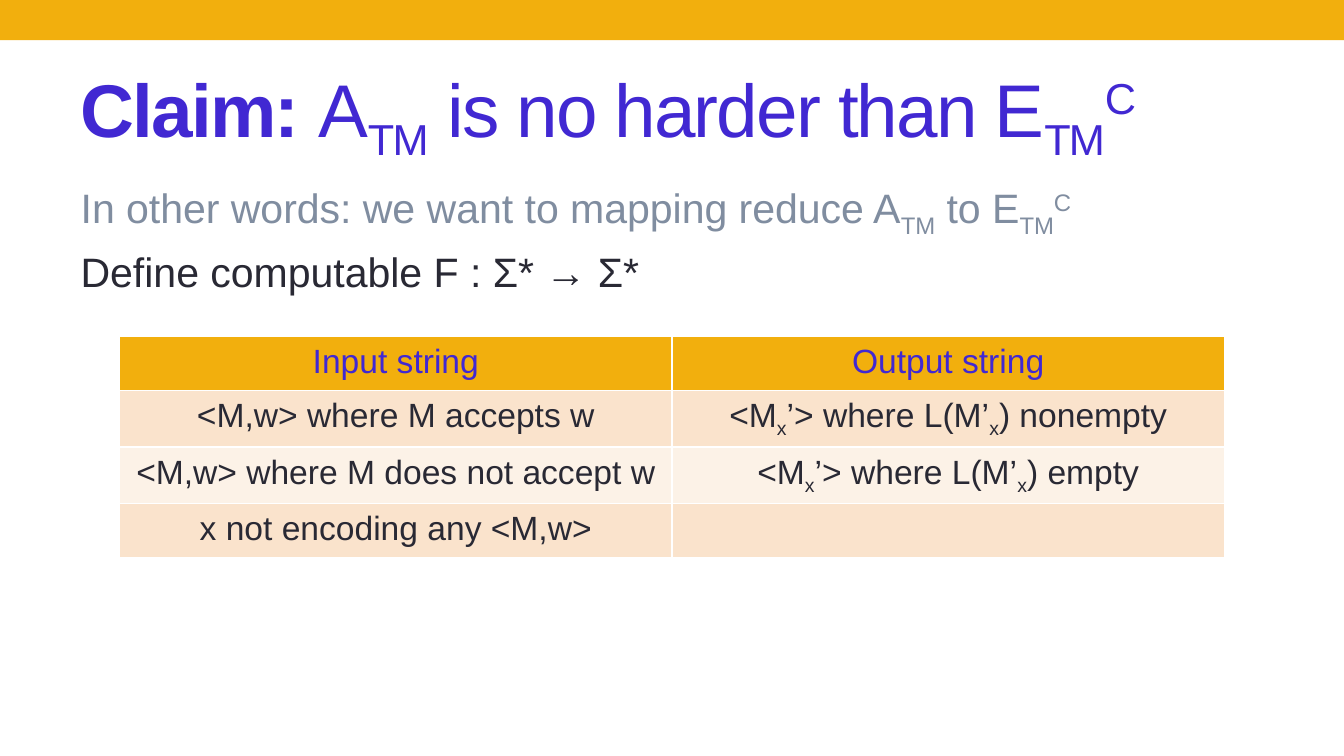
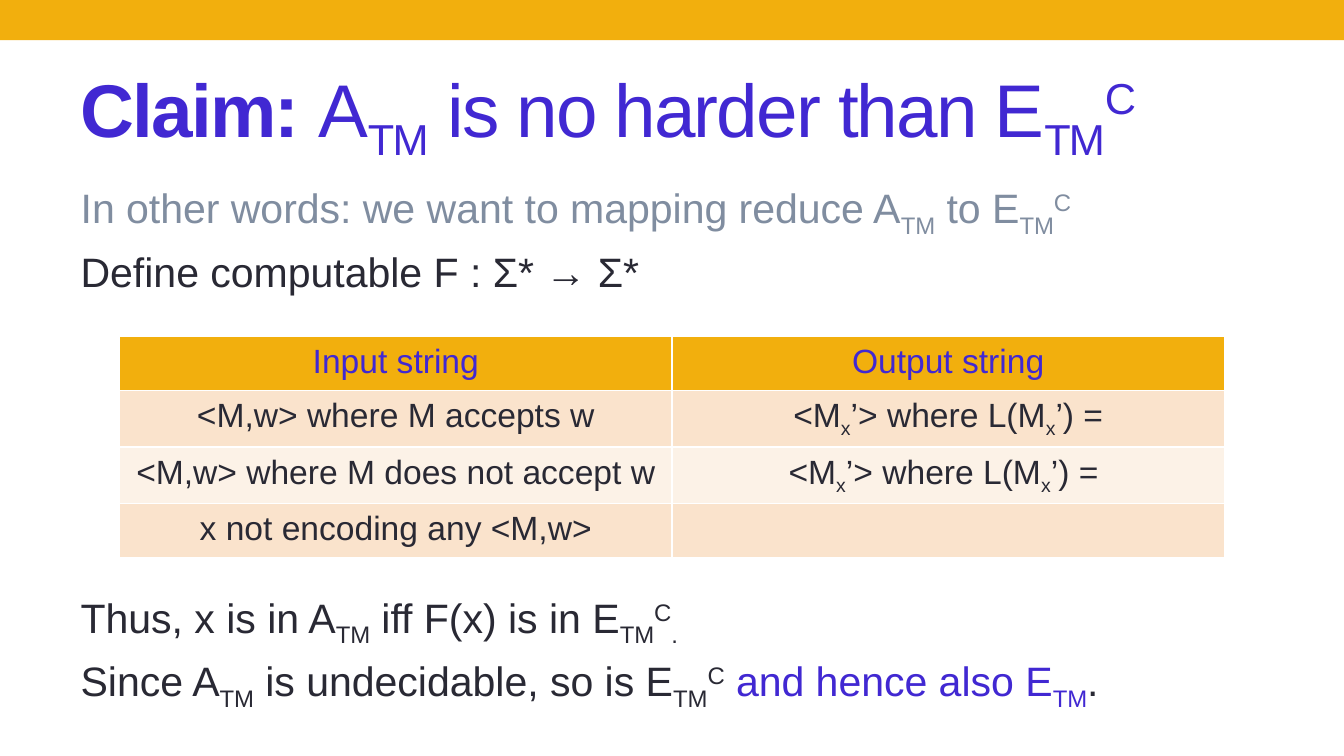
from lxml import etree
from pptx import Presentation
from pptx.dml.color import RGBColor
from pptx.enum.shapes import MSO_SHAPE
from pptx.enum.text import MSO_ANCHOR, MSO_AUTO_SIZE, PP_ALIGN
from pptx.oxml.ns import qn
from pptx.util import Inches, Pt

RECTANGLE = MSO_SHAPE.RECTANGLE
LEFT, CENTER = PP_ALIGN.LEFT, PP_ALIGN.CENTER
MIDDLE, TOP = MSO_ANCHOR.MIDDLE, MSO_ANCHOR.TOP
NO_AUTOFIT = MSO_AUTO_SIZE.NONE

COLORS = {
    "band": "F2AF0D", "accent": "4128D2", "muted": "808DA0", "ink": "292934",
    "odd": "FAE3CC", "even": "FCF2E7", "rule": "FFFFFF",
}
FONT = "Arial"
WIDTH = 10
HEIGHT = WIDTH * 9 / 16
MARGIN = 0.5
TITLE_BOX = (MARGIN, 0.44, WIDTH - 2 * MARGIN, 0.81)
BODY_BOX = (MARGIN, 1.31, WIDTH - 2 * MARGIN, 4)
COLUMN, TABLE_TOP, TABLE_HEIGHT = 4.11, 2.5, 1.62
FIRST_GAP, LINE_GAP, TABLE_GAP = 5.5, 4, 159

MARKS = {
    "_": ("baseline", "-25000"), "^": ("baseline", "30000"),
    "!": ("b", "1"), "#": ("color", "accent"),
}
TITLE = "!Claim: |A|_TM| is no harder than E|_TM|^C"
INTRO = [
    ("In other words: we want to mapping reduce A|_TM| to E|_TM|^C", "muted", FIRST_GAP),
    ("Define computable F : Σ* → Σ*", "ink", LINE_GAP),
]
CONCLUSION = [
    ("Thus, x is in A|_TM| iff F(x) is in E|_TM|^C|_.", "ink", TABLE_GAP),
    ("Since A|_TM| is undecidable, so is E|_TM|^C| |#and hence also E|#_TM|.", "ink", LINE_GAP),
]
HEADER = ("Input string", "Output string")
INPUTS = ("<M,w> where M accepts w", "<M,w> where M does not accept w", "x not encoding any <M,w>")
SLIDES = [
    {"body": INTRO,
     "outputs": ("<M|_x|’> where L(M’|_x|) nonempty", "<M|_x|’> where L(M’|_x|) empty", "")},
    {"body": INTRO + CONCLUSION,
     "outputs": ("<M|_x|’> where L(M|_x|’) =", "<M|_x|’> where L(M|_x|’) = ", "")},
]


def rgb(name):
    return RGBColor.from_string(COLORS[name])


def write(paragraph, marked, size, color, align=LEFT, tracking=None):
    paragraph.alignment = align
    for part in filter(None, marked.split("|")):
        style = {"color": color, "b": "0"}
        while part[0] in MARKS:
            key, value = MARKS[part[0]]
            style[key] = value
            part = part[1:]
        run = paragraph.add_run()
        run.text = part
        run.font.name, run.font.size = FONT, Pt(size)
        run.font.color.rgb = rgb(style.pop("color"))
        if tracking:
            style["spc"] = str(tracking * 100)
        for key, value in style.items():
            run.font._element.set(key, value)


def remove_bullet(paragraph):
    properties = paragraph._p.get_or_add_pPr()
    properties.set("marL", "0")
    properties.set("indent", "0")
    etree.SubElement(properties, qn("a:buNone"))


def border(cell):
    properties = cell._tc.get_or_add_tcPr()
    for index, side in enumerate("LRTB"):
        line = etree.Element(qn(f"a:ln{side}"), w=str(Pt(1)))
        fill = etree.SubElement(line, qn("a:solidFill"))
        etree.SubElement(fill, qn("a:srgbClr"), val=COLORS["rule"])
        properties.insert(index, line)


def place(shape, box):
    shape.left, shape.top, shape.width, shape.height = map(Inches, box)


def add_band(slide, master):
    band = slide.shapes.add_shape(RECTANGLE, 0, 0, Inches(WIDTH), Inches(0.3))
    band.shadow.inherit = False
    band.fill.solid()
    band.fill.fore_color.rgb = rgb("band")
    band.line.fill.background()
    master.element.cSld.spTree.insert(2, band.element)


def add_mapping(slide, outputs):
    rows = [HEADER, *zip(INPUTS, outputs)]
    columns = len(HEADER)
    left = (WIDTH - columns * COLUMN) / 2
    table = slide.shapes.add_table(
        len(rows), columns, Inches(left), Inches(TABLE_TOP),
        Inches(columns * COLUMN), Inches(TABLE_HEIGHT)).table
    for r, texts in enumerate(rows):
        fill = "band" if r == 0 else "odd" if r % 2 else "even"
        for c, marked in enumerate(texts):
            cell = table.cell(r, c)
            cell.fill.solid()
            cell.fill.fore_color.rgb = rgb(fill)
            border(cell)
            write(cell.text_frame.paragraphs[0], marked, 18, "ink" if r else "accent", CENTER)


def add_claim(prs, layout, content):
    slide = prs.slides.add_slide(layout)
    title, body = slide.shapes.title, slide.placeholders[1]
    write(title.text_frame.paragraphs[0], TITLE, 40, "accent", tracking=-1)
    frame = body.text_frame
    for index, (marked, color, gap) in enumerate(content["body"]):
        paragraph = frame.add_paragraph() if index else frame.paragraphs[0]
        paragraph.space_before = Pt(gap)
        remove_bullet(paragraph)
        write(paragraph, marked, 22, color)
    for shape, anchor in ((title, MIDDLE), (body, TOP)):
        shape.text_frame.auto_size = NO_AUTOFIT
        shape.text_frame.vertical_anchor = anchor
    add_mapping(slide, content["outputs"])
    return slide


def main():
    prs = Presentation()
    prs.slide_width, prs.slide_height = Inches(WIDTH), Inches(HEIGHT)
    layout = prs.slide_layouts[1]
    for placeholder, box in zip(layout.placeholders, (TITLE_BOX, BODY_BOX)):
        place(placeholder, box)
    slides = [add_claim(prs, layout, content) for content in SLIDES]
    add_band(slides[0], prs.slide_master)
    prs.save("out.pptx")


if __name__ == "__main__":
    main()
